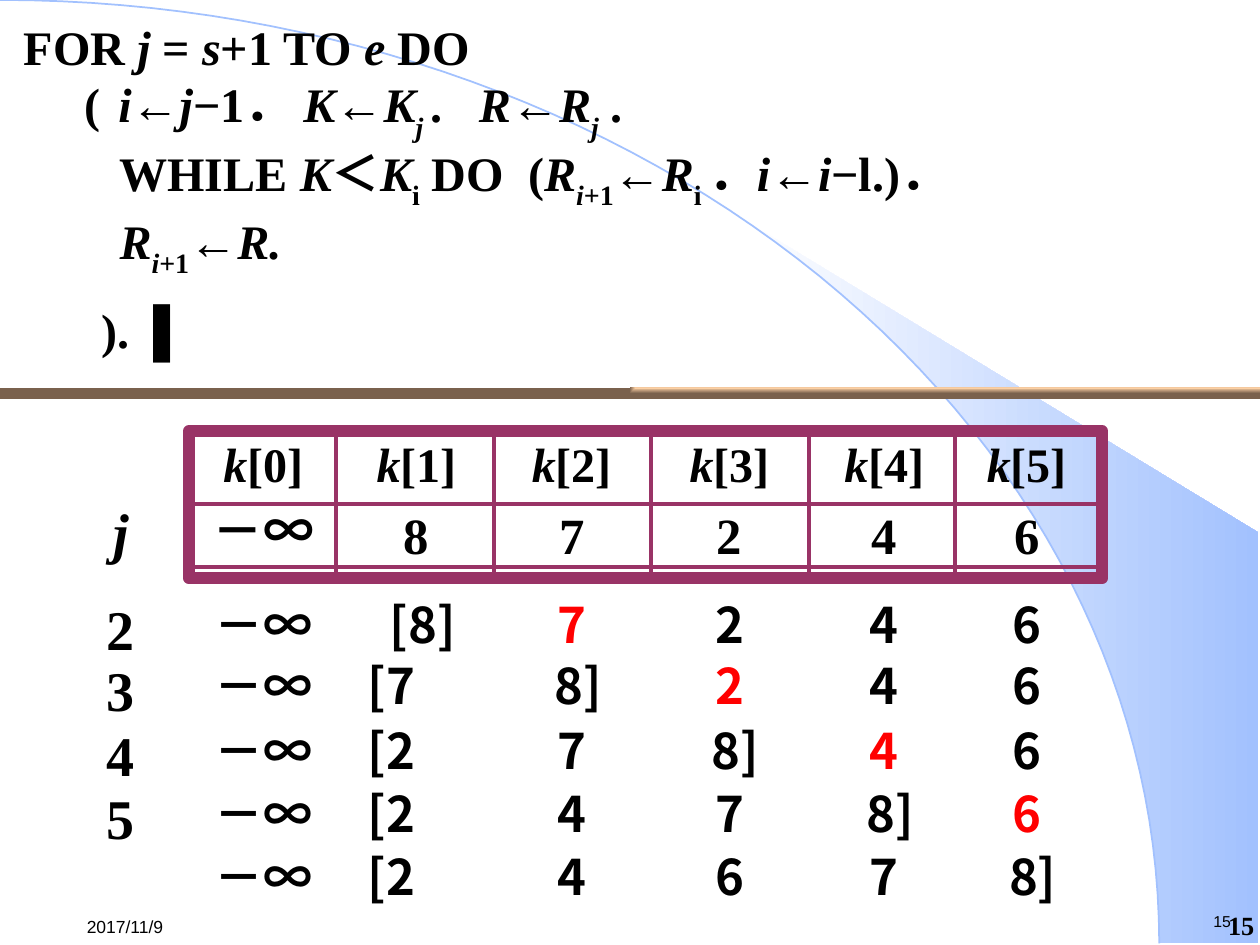
from dataclasses import dataclass
from math import asin, cos, pi, sin

from lxml import etree
from pptx import Presentation
from pptx.dml.color import RGBColor
from pptx.enum.shapes import MSO_CONNECTOR, MSO_SHAPE
from pptx.enum.text import MSO_ANCHOR, PP_ALIGN
from pptx.oxml.ns import qn
from pptx.util import Cm, Pt

RECTANGLE = MSO_SHAPE.RECTANGLE
STRAIGHT = MSO_CONNECTOR.STRAIGHT
TOP, MIDDLE = MSO_ANCHOR.TOP, MSO_ANCHOR.MIDDLE
LEFT, CENTER = PP_ALIGN.LEFT, PP_ALIGN.CENTER
SERIF, SANS, CJK = "Times New Roman", "Arial", "Noto Sans CJK SC"
BLACK, RED, PLUM, SKY = "000000", "FF0000", "993366", "A2C1FE"
INSETS = (0.25, 0.13, 0.25, 0.13)
NO_INSETS = (0, 0, 0, 0)
INFINITY = "－∞"


@dataclass
class Span:
    text: str
    italic: bool = False
    sub: bool = False
    spread: float = 0


@dataclass
class CodeLine:
    indent: float
    spans: list[Span]
    before: float = 0


@dataclass
class Style:
    size: float
    font: str = SERIF
    bold: bool = True
    spacing: float = 0
    align: PP_ALIGN = LEFT
    anchor: MSO_ANCHOR = TOP
    insets: tuple = INSETS


@dataclass
class Step:
    top: float
    label: str
    values: list[str]
    picked: int = -1


def color(value: str) -> RGBColor:
    return RGBColor.from_string(value)


def var(text: str) -> Span:
    return Span(text, italic=True)


def low(text: str, italic: bool = True) -> Span:
    return Span(text, italic, sub=True)


def gap(points: float) -> Span:
    return Span(" ", spread=points)


def format_span(run, span: Span, style: Style, ink: str = BLACK) -> None:
    font = run.font
    font.size, font.name = Pt(style.size), style.font
    font.bold, font.italic = style.bold, span.italic
    font.color.rgb = color(ink)
    properties = run._r.get_or_add_rPr()
    if span.sub:
        properties.set("baseline", "-30000")
    if span.spread:
        properties.set("spc", str(int(span.spread * 100)))
    if style.font == CJK:
        etree.SubElement(properties, qn("a:ea")).set("typeface", CJK)


def fill_para(para, spans: list[Span], style: Style, ink: str = BLACK) -> None:
    para.alignment = style.align
    if style.spacing:
        para.line_spacing = Pt(style.spacing)
    for span in spans:
        run = para.add_run()
        run.text = span.text
        format_span(run, span, style, ink)


def add_box(page, left: float, top: float, width: float, height: float, style: Style):
    frame = page.shapes.add_textbox(Cm(left), Cm(top), Cm(width), Cm(height)).text_frame
    frame.word_wrap = True
    frame.vertical_anchor = style.anchor
    frame.margin_left, frame.margin_top, frame.margin_right, frame.margin_bottom = map(Cm, style.insets)
    return frame


def add_text(page, spans: list[Span], left: float, top: float, width: float,
             height: float, style: Style, ink: str = BLACK) -> None:
    frame = add_box(page, left, top, width, height, style)
    fill_para(frame.paragraphs[0], spans, style, ink)


def add_rule(page, x1: float, y1: float, x2: float, y2: float) -> None:
    rule = page.shapes.add_connector(STRAIGHT, Cm(x1), Cm(y1), Cm(x2), Cm(y2))
    rule.line.color.rgb, rule.line.width = color(PLUM), Pt(2.25)
    etree.SubElement(rule._element.spPr, qn("a:effectLst"))


def add_outline(page, points: list[tuple], close: bool):
    corners = [(Cm(x), Cm(y)) for x, y in points]
    builder = page.shapes.build_freeform(*corners[0])
    builder.add_line_segments(corners[1:], close=close)
    shape = builder.convert_to_shape()
    shape.shadow.inherit = False
    return shape


def fill_gradient(shape, first: str, last: str) -> None:
    shape.fill.gradient()
    shape.fill.gradient_angle = 0
    for stop, position, value in zip(shape.fill.gradient_stops, (0, 1), (first, last)):
        stop.position = position
        stop.color.rgb = color(value)
    shape.line.fill.background()


def arc(start: float) -> list[tuple]:
    angles = [start + (pi / 2 - start) * i / 60 for i in range(61)]
    return [(23.37 * sin(angle), 19.02 * (1 - cos(angle))) for angle in angles]


def draw_backdrop(page) -> None:
    fan = add_outline(page, arc(asin(0.64)) + [(25.37, 19.02), (25.37, 10.74)], True)
    fill_gradient(fan, "FFFFFF", SKY)
    curve = add_outline(page, arc(0), False)
    curve.fill.background()
    curve.line.color.rgb, curve.line.width = color(SKY), Pt(1)


def draw_bar(page) -> None:
    bar = page.shapes.add_shape(RECTANGLE, Cm(0), Cm(7.82), Cm(25.4), Cm(0.22))
    bar.shadow.inherit = False
    fill_gradient(bar, "FCD0A4", "7A614D")
    gradient = bar._element.spPr.find(qn("a:gradFill"))
    gradient.remove(gradient.find(qn("a:lin")))
    shade = etree.SubElement(gradient, qn("a:path"))
    shade.set("path", "rect")
    focus = etree.SubElement(shade, qn("a:fillToRect"))
    focus.set("l", "100000")
    focus.set("b", "100000")


def draw_code(page) -> None:
    style = Style(27.5, spacing=39)
    frame = add_box(page, 0, 0, 25.4, 19.05, style)
    for i, line in enumerate(CODE):
        para = frame.add_paragraph() if i else frame.paragraphs[0]
        fill_para(para, line.spans, style)
        para.space_before = Pt(line.before)
        para._p.get_or_add_pPr().set("marL", str(Cm(line.indent)))


def draw_keys(page) -> None:
    left, right, top, bottom = BORDERS[0], BORDERS[-1], 8.69, 11.66
    frame = page.shapes.add_shape(RECTANGLE, Cm(left), Cm(top), Cm(right - left), Cm(bottom - top))
    frame.shadow.inherit = False
    frame.fill.background()
    frame.line.color.rgb, frame.line.width = color(PLUM), Pt(6.75)
    for y in (10.16, 11.43):
        add_rule(page, left, y, right, y)
    for x in BORDERS[1:-1]:
        add_rule(page, x, top, x, bottom)
    heading = Style(27.5, SERIF, True, 28, CENTER, MIDDLE, NO_INSETS)
    number = Style(29, SERIF, True, 29, CENTER, MIDDLE, (0, 0.1, 0, 0))
    infinity = Style(29, CJK, True, 25, CENTER, MIDDLE, NO_INSETS)
    for i, (middle, value) in enumerate(zip(CENTERS, KEYS)):
        add_text(page, [var("k"), Span(f"[{i}]")], middle - 1.03, 8.94, 2.06, 0.99, heading)
        style, y, height = (number, 10.26, 1.14) if i else (infinity, 10.39, 0.89)
        add_text(page, [Span(value)], middle - 1.2, y, 2.4, height, style)
    add_text(page, [var("j")], 1.93, 10.24, 1.04, 1.14,
             Style(32, SERIF, True, 32, CENTER, MIDDLE, NO_INSETS))


def draw_step(page, step: Step) -> None:
    for i, (middle, value) in enumerate(zip(CENTERS, [INFINITY] + step.values)):
        opens, closes = value.startswith("["), value.endswith("]")
        align = LEFT if opens and not closes else CENTER
        shift = 0.35 if align == LEFT else 0.12 if closes else 0
        add_text(page, [Span(value)], middle - 1.59 + shift, step.top, 3.18, 1.45,
                 Style(28, CJK, align=align), RED if i == step.picked else BLACK)
    if step.label:
        add_text(page, [Span(step.label)], 1.9, step.top, 1.47, 1.63, Style(32))


CODE = [
    CodeLine(0.23, [Span("FOR "), var("j "), Span("= "), var("s"), Span("+1 TO "), var("e"), Span(" DO")]),
    CodeLine(1.45, [Span("("), gap(3.4), var("i"), Span("←"), var("j"), Span("−1． "), var("K"), Span("←"),
                    var("K"), low("j "), Span("."), gap(14), var("R"), Span("←"), var("R"), low("j"),
                    Span(" .")]),
    CodeLine(2.16, [Span("WHILE "), var("K"), Span("＜"), var("K"), low("i", False), Span(" DO"), gap(6.9),
                    Span("("), var("R"), low("i"), low("+1", False), Span("←"), var("R"), low("i ", False),
                    Span("．"), var("i"), Span("←"), var("i"), Span("−l.)．")]),
    CodeLine(2.16, [var("R"), low("i"), low("+1", False), Span("←"), var("R.")]),
    CodeLine(1.8, [Span(")."), gap(6.9), Span("▌")], 6),
]
BORDERS = [3.81, 6.78, 9.96, 13.13, 16.31, 19.25, 22.22]
CENTERS = [5.31, 8.4, 11.53, 14.71, 17.83, 20.7]
KEYS = [INFINITY, "8", "7", "2", "4", "6"]
STEPS = [
    Step(11.86, "2", ["[8]", "7", "2", "4", "6"], 2),
    Step(13.08, "3", ["[7", "8]", "2", "4", "6"], 3),
    Step(14.4, "4", ["[2", "7", "8]", "4", "6"], 4),
    Step(15.67, "5", ["[2", "4", "7", "8]", "6"], 5),
    Step(16.94, "", ["[2", "4", "6", "7", "8]"]),
]

deck = Presentation()
deck.slide_width, deck.slide_height = Cm(25.4), Cm(19.05)
page = deck.slides.add_slide(deck.slide_layouts[6])
draw_backdrop(page)
add_text(page, [Span("15")], 24.21, 18.26, 1.1, 0.64, Style(9, SANS, False))
add_text(page, [Span("2017/11/9")], 1.5, 18.29, 2.59, 0.76, Style(10, SANS, False, anchor=MIDDLE))
draw_code(page)
add_text(page, [Span("15")], 24.64, 18.44, 0.76, 0.61,
         Style(15, spacing=15, align=CENTER, insets=NO_INSETS))
draw_keys(page)
for step in STEPS:
    draw_step(page, step)
draw_bar(page)
deck.save("out.pptx")
